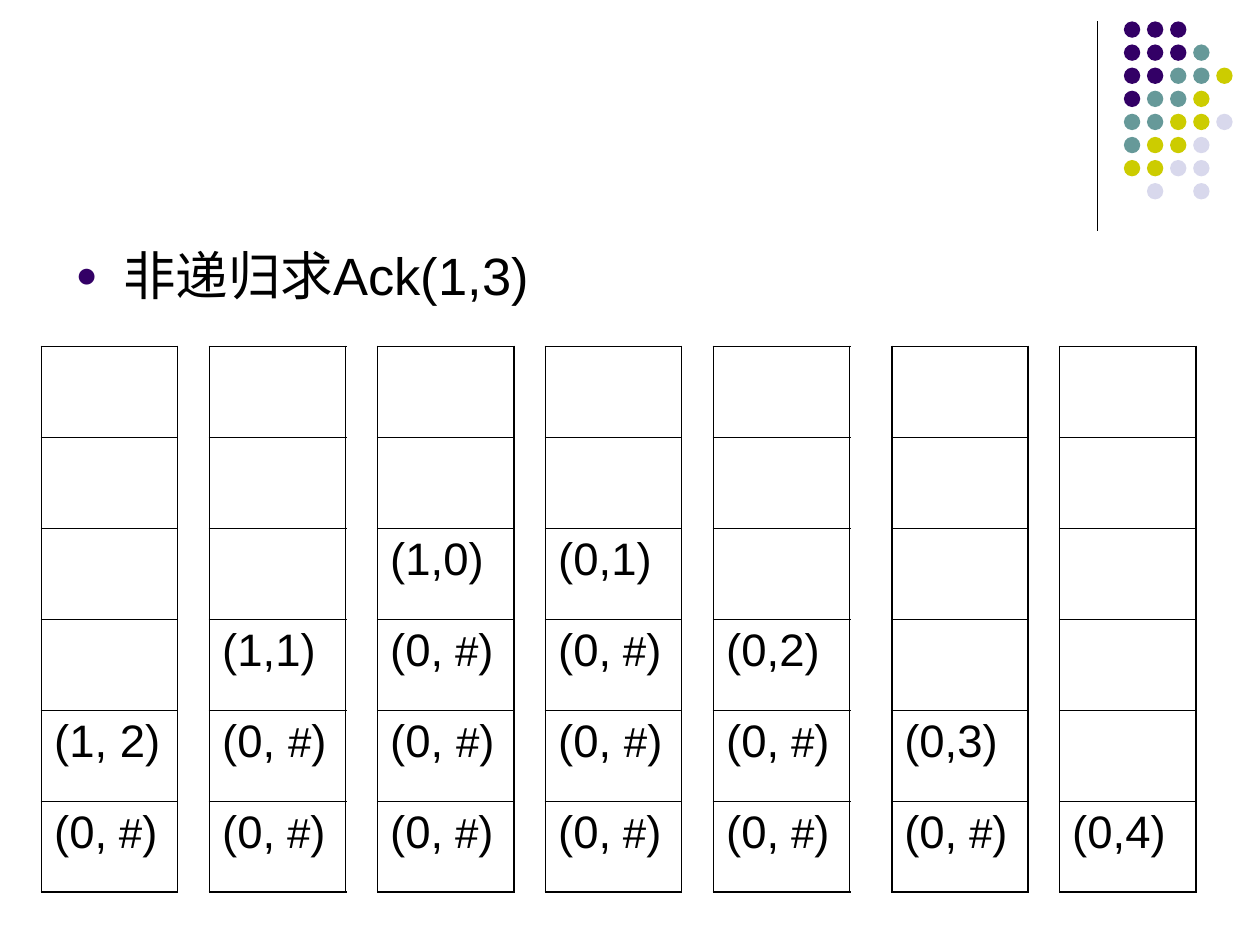
"""Build the slide that traces Ack(1,3) as a row of stacks."""
from lxml.etree import SubElement as Sub
from pptx import Presentation as Deck
from pptx.dml.color import RGBColor as Color
from pptx.enum.shapes import MSO_CONNECTOR as Link, MSO_SHAPE as Shape
from pptx.enum.text import MSO_ANCHOR as Anchor, MSO_AUTO_SIZE as Fit
from pptx.oxml.ns import qn
from pptx.util import Inches, Pt

BLACK = Color(0x00, 0x00, 0x00)
PURPLE = Color(0x33, 0x00, 0x66)
TEAL = Color(0x66, 0x99, 0x99)
YELLOW = Color(0xCC, 0xCC, 0x00)
LILAC = Color(0xD8, 0xD8, 0xEC)

HUES = {"P": PURPLE, "T": TEAL, "Y": YELLOW, "L": LILAC}
DOTS = ["PPP", "PPPT", "PPTTY", "PTTY", "TTYYL", "TYYL", "YYLL", " L L"]
PITCH = 0.55 / 3
ROWS = 6
LOW = ("(0,", " #", ")")
MID = ("(0, ", "#", ")")
STACKS = [
    [("(1, 2)",), LOW],
    [("(1,1)",), MID, LOW],
    [("(1,0)",), LOW, MID, LOW],
    [("(0,1)",), LOW, MID, LOW],
    [("(0,2)",), LOW, LOW],
    [("(0,3)",), LOW],
    [("(0,4)",)],
]


class Board:
    """Hold the style and the current slide."""

    font = {"name": "Arial", "bold": False}
    thin, thick = 0.45, 1.08

    def __init__(self, slide):
        self.slide = slide
        self.shapes = slide.shapes

    def label(self, para, text, size):
        run = para.add_run()
        run.text = text
        for key, value in {**self.font, "size": Pt(size)}.items():
            setattr(run.font, key, value)
        run.font.color.rgb = BLACK

    def rule(self, x, top, end):
        line = self.shapes.add_connector(
            Link.STRAIGHT, Inches(x), Inches(top), Inches(x), Inches(end))
        line.line.color.rgb = BLACK
        line.line.width = Pt(0.75)
        Sub(line._element.spPr, qn("a:effectLst"))

    def dot(self, x, y, hue):
        size = Inches(0.13)
        dot = self.shapes.add_shape(
            Shape.OVAL, Inches(x), Inches(y), size, size)
        dot.shadow.inherit = False
        dot.fill.solid()
        dot.fill.fore_color.rgb = hue
        dot.line.fill.background()

    def point(self, text):
        body = self.slide.placeholders[1]
        place = {"left": 0.5, "top": 1.88, "width": 9, "height": 4.82}
        for key, value in place.items():
            setattr(body, key, Inches(value))
        frame = body.text_frame
        frame.auto_size = Fit.NONE
        frame.vertical_anchor = Anchor.TOP
        para = frame.paragraphs[0]
        props = para._p.get_or_add_pPr()
        props.set("marL", str(Inches(0.38)))
        props.set("indent", str(Inches(-0.38)))
        tint = Sub(props, qn("a:buClr"))
        Sub(tint, qn("a:srgbClr"), val=str(PURPLE))
        Sub(props, qn("a:buSzPct"), val="70000")
        Sub(props, qn("a:buFont"), typeface="Arial")
        Sub(props, qn("a:buChar"), char="●")
        para.space_before = Pt(0)
        self.label(para, text, 30)

    def edge(self, cell, row):
        props = cell._tc.get_or_add_tcPr()
        widths = {
            "L": self.thick,
            "R": self.thick,
            "T": self.thick if row == 0 else self.thin,
            "B": self.thick if row == ROWS - 1 else self.thin,
        }
        for side, width in widths.items():
            line = Sub(props, qn(f"a:ln{side}"), w=str(Pt(width)))
            fill = Sub(line, qn("a:solidFill"))
            Sub(fill, qn("a:srgbClr"), val=str(BLACK))

    def stack(self, x, items):
        table = self.shapes.add_table(
            ROWS, 1, Inches(x), Inches(2.75), Inches(1.08), Inches(4.33)).table
        table.first_row = table.horz_banding = False
        blank = ROWS - len(items)
        for row in range(ROWS):
            cell = table.cell(row, 0)
            self.edge(cell, row)
            cell.fill.background()
            if row >= blank:
                para = cell.text_frame.paragraphs[0]
                for part in items[row - blank]:
                    self.label(para, part, 24 if "#" in part else 26)


def main():
    deck = Deck()
    deck.slide_width, deck.slide_height = Inches(10), Inches(7.5)
    slide = deck.slides.add_slide(deck.slide_layouts[1])
    title = slide.shapes.title._element
    title.getparent().remove(title)
    board = Board(slide)
    board.rule(8.71, 0.17, 1.83)
    for row, marks in enumerate(DOTS):
        for col, mark in enumerate(marks):
            if mark in HUES:
                board.dot(8.92 + col * PITCH, 0.17 + row * PITCH, HUES[mark])
    board.point("非递归求Ack(1,3)")
    for col, items in enumerate(STACKS):
        shift = 0.08 if col > 4 else 0
        board.stack(0.33 + col * 4 / 3 + shift, items)
    deck.save("out.pptx")


if __name__ == "__main__":
    main()
